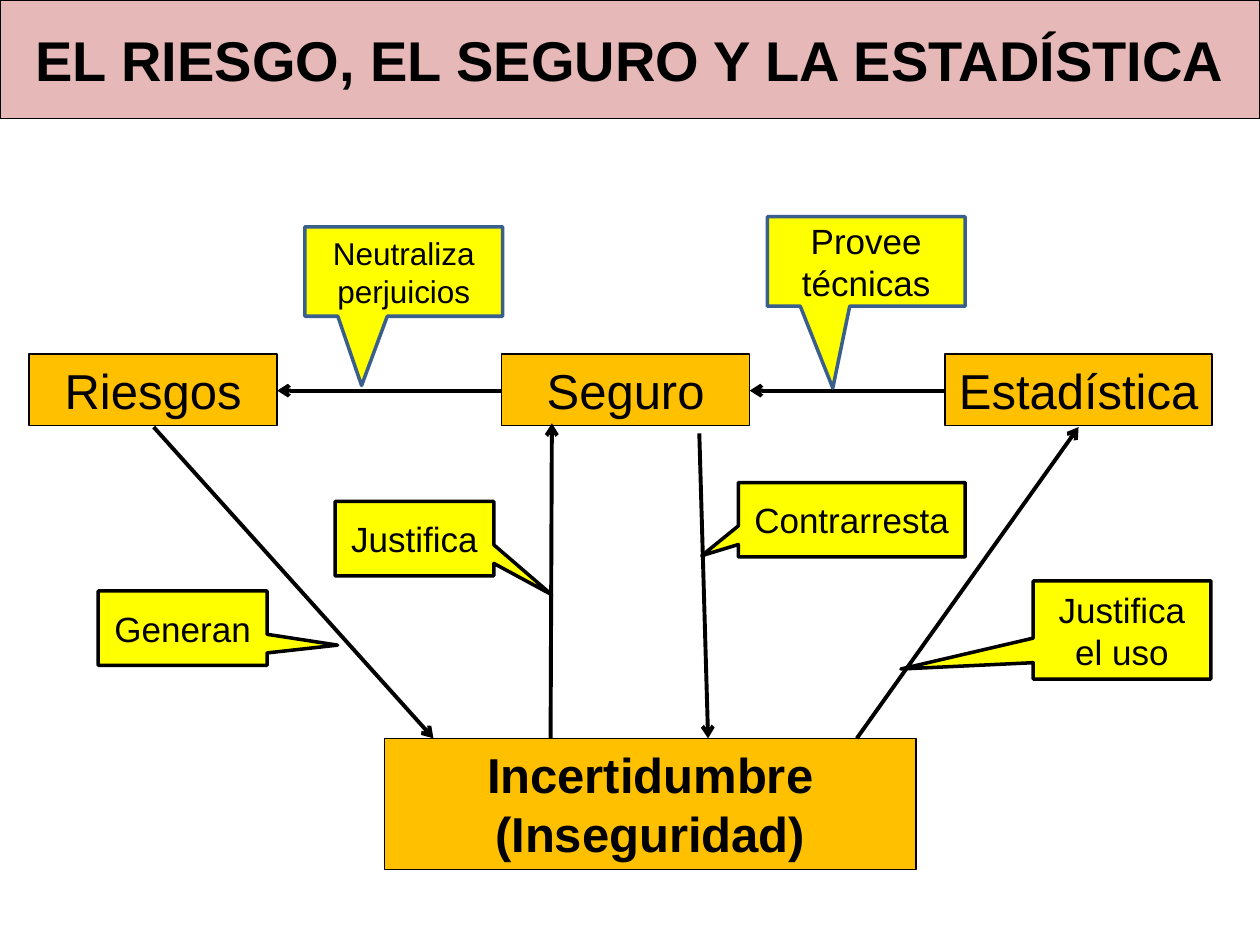
from lxml import etree
from pptx import Presentation
from pptx import util as u
from pptx.dml.color import RGBColor
from pptx.enum import shapes, text
from pptx.oxml.ns import qn

BLACK, BLUE, YELLOW, ORANGE, PINK = "000000", "3A5F8C", "FFFF00", "FFC000", "E6B9B8"
FONT = "Arial"

# Boxes: wording, (left, top, width, height), fill, text size, bold
BOXES = [
    ("EL RIESGO, EL SEGURO Y LA ESTADÍSTICA", (0, 0, 10, 0.94), PINK, 32, True),
    ("Riesgos", (0.23, 2.81, 1.97, 0.57), ORANGE, 28, False),
    ("Seguro", (3.98, 2.81, 1.97, 0.57), ORANGE, 28, False),
    ("Estadística", (7.5, 2.81, 2.12, 0.57), ORANGE, 28, False),
    ("Incertidumbre\n(Inseguridad)", (3.05, 5.86, 4.22, 1.04), ORANGE, 28, True),
]

# Arrows: start point, end point
ARROWS = [
    ((3.98, 3.1), (2.2, 3.1)),
    ((7.5, 3.1), (5.95, 3.1)),
    ((1.22, 3.39), (3.44, 5.86)),
    ((6.8, 5.86), (8.56, 3.39)),
    ((4.37, 5.86), (4.38, 3.36)),
    ((5.55, 3.44), (5.62, 5.86)),
]

# Callouts: wording, (left, top, width, height), tip point, line colour, text size
CALLOUTS = [
    ("Provee\ntécnicas", (6.09, 1.72, 1.57, 0.71), (6.61, 3.08), BLUE, 20),
    ("Neutraliza\nperjuicios", (2.42, 1.8, 1.57, 0.71), (2.87, 3.06), BLUE, 18),
    ("Generan", (0.78, 4.69, 1.34, 0.59), (2.68, 5.12), BLACK, 20),
    ("Justifica", (2.66, 3.98, 1.26, 0.59), (4.38, 4.72), BLACK, 20),
    ("Contrarresta", (5.86, 3.83, 1.8, 0.59), (5.57, 4.41), BLACK, 20),
    ("Justifica el uso", (8.2, 4.61, 1.41, 0.78), (7.15, 5.31), BLACK, 20),
]


def colour(hex_code):
    return RGBColor.from_string(hex_code)


def add_label(slide, preset, wording, place, fill, line, line_width, size, bold=False):
    label = slide.shapes.add_shape(preset, *(u.Inches(v) for v in place))
    label.shadow.inherit = False
    label.fill.solid()
    label.fill.fore_color.rgb = colour(fill)
    label.line.color.rgb = colour(line)
    label.line.width = u.Pt(line_width)
    frame = label.text_frame
    frame.text = wording
    frame.word_wrap = True
    frame.vertical_anchor = text.MSO_ANCHOR.MIDDLE
    for paragraph in frame.paragraphs:
        paragraph.alignment = text.PP_ALIGN.CENTER
        for run in paragraph.runs:
            run.font.name = FONT
            run.font.size = u.Pt(size)
            run.font.bold = bold
            run.font.color.rgb = colour(BLACK)
    return label


def add_arrow(slide, start, end):
    arrow = slide.shapes.add_connector(
        shapes.MSO_CONNECTOR.STRAIGHT, *(u.Inches(v) for v in start + end))
    arrow.line.color.rgb = colour(BLACK)
    arrow.line.width = u.Pt(2.25)
    etree.SubElement(arrow.line._get_or_add_ln(), qn("a:tailEnd"), type="arrow")
    etree.SubElement(arrow._element.spPr, qn("a:effectLst"))


def main():
    prs = Presentation()
    prs.slide_width, prs.slide_height = u.Inches(10), u.Inches(7.5)
    slide = prs.slides.add_slide(prs.slide_layouts[6])

    # Title band and concepts
    for wording, place, fill, size, bold in BOXES:
        add_label(slide, shapes.MSO_SHAPE.RECTANGLE, wording, place, fill,
                  BLACK, 0.75, size, bold)

    # Relations between concepts
    for start, end in ARROWS:
        add_arrow(slide, start, end)

    # Callouts, each tip measured from the centre of its box
    for wording, place, tip, line, size in CALLOUTS:
        callout = add_label(slide, shapes.MSO_SHAPE.RECTANGULAR_CALLOUT, wording,
                            place, YELLOW, line, 2, size)
        left, top, width, height = place
        callout.adjustments[0] = (tip[0] - left) / width - 0.5
        callout.adjustments[1] = (tip[1] - top) / height - 0.5

    prs.save("out.pptx")


if __name__ == "__main__":
    main()
